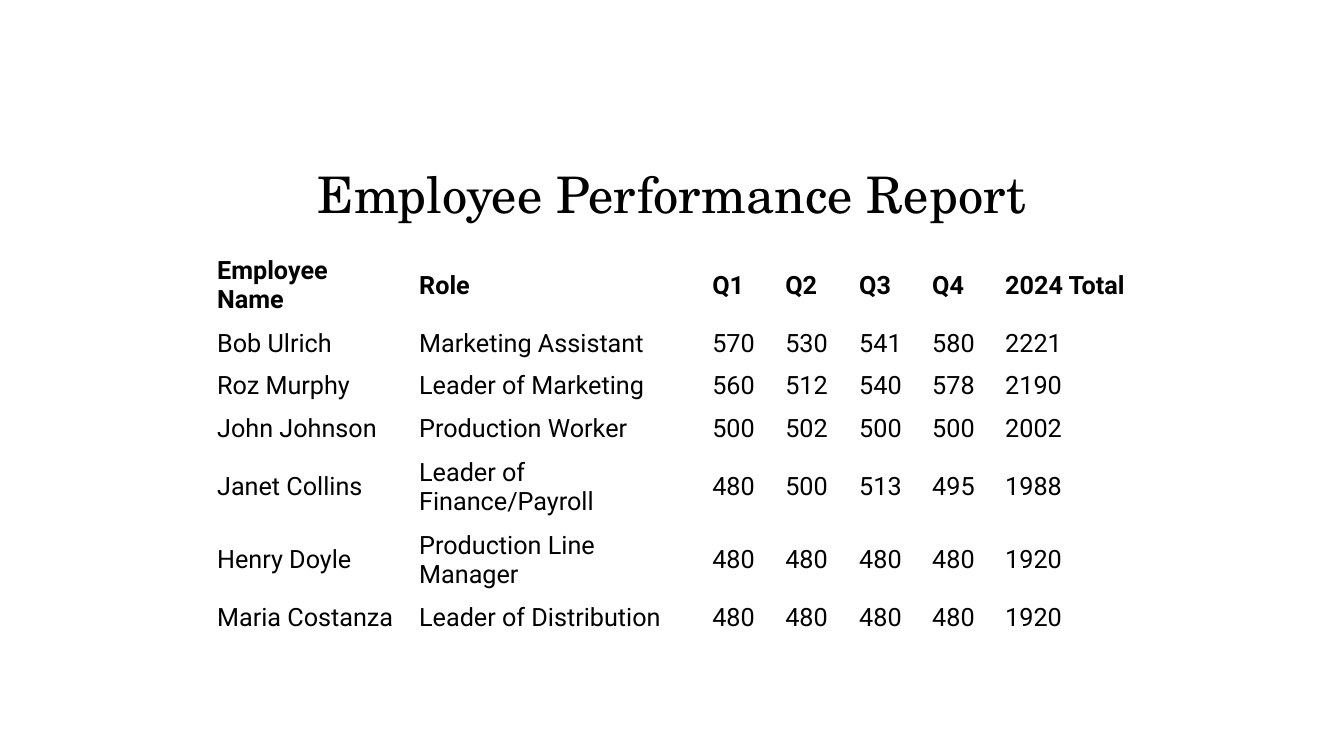
from pptx import Presentation
from pptx.dml.color import RGBColor
from pptx.enum.shapes import MSO_SHAPE as Shape
from pptx.enum.text import MSO_ANCHOR as Anchor, MSO_AUTO_SIZE as AutoSize, PP_ALIGN as Align
from pptx.oxml.ns import qn
from pptx.util import Inches, Pt
from lxml.etree import SubElement

PX = Inches(1) / 100.8
TITLE_ONLY = 5
INK, PAPER = "000000", "FFFFFF"
TITLE_FONT, TABLE_FONT = "TeX Gyre Schola", "Roboto"

COLUMN_WIDTHS = [202, 293, 73, 74, 73, 73, 142]
ONE_LINE, TWO_LINES = 43, 73
HEADINGS = ["Employee Name", "Role", "Q1", "Q2", "Q3", "Q4", "2024 Total"]
# Row height, name, role, quarters, total
EMPLOYEES = [
    (ONE_LINE, "Bob Ulrich", "Marketing Assistant", 570, 530, 541, 580, 2221),
    (ONE_LINE, "Roz Murphy", "Leader of Marketing", 560, 512, 540, 578, 2190),
    (ONE_LINE, "John Johnson", "Production Worker", 500, 502, 500, 500, 2002),
    (TWO_LINES, "Janet Collins", "Leader of Finance/Payroll", 480, 500, 513, 495, 1988),
    (TWO_LINES, "Henry Doyle", "Production Line Manager", 480, 480, 480, 480, 1920),
    (ONE_LINE, "Maria Costanza", "Leader of Distribution", 480, 480, 480, 480, 1920),
]


def px(length):
    return round(length * PX)


def color(code):
    return RGBColor.from_string(code)


def apply(target, values):
    for key, value in values.items():
        setattr(target, key, value)


class Report:
    def __init__(self, deck):
        self.slide = deck.slides.add_slide(deck.slide_layouts[TITLE_ONLY])

    def label(self, paragraph, text, font, size, bold=False):
        paragraph.text = text
        apply(paragraph.font, {"name": font, "size": Pt(size), "bold": bold})
        paragraph.font.color.rgb = color(INK)

    def panel(self, left, top, width, height, opacity):
        panel = self.slide.shapes.add_shape(
            Shape.RECTANGLE, px(left), px(top), px(width), px(height))
        panel.shadow.inherit = False
        panel.fill.solid()
        panel.fill.fore_color.rgb = color(PAPER)
        panel.line.fill.background()
        fill = panel._element.spPr.find(qn("a:solidFill"))
        SubElement(fill[0], qn("a:alpha")).set("val", str(opacity * 1000))
        # Send behind the title
        self.slide.shapes._spTree.insert(2, panel._element)

    def title(self, text, left, top, width, height):
        title = self.slide.shapes.title
        apply(title, {"left": px(left), "top": px(top),
                      "width": px(width), "height": px(height)})
        frame = title.text_frame
        apply(frame, {"word_wrap": True, "auto_size": AutoSize.NONE,
                      "vertical_anchor": Anchor.BOTTOM})
        heading = frame.paragraphs[0]
        self.label(heading, text, TITLE_FONT, 36)
        apply(heading, {"alignment": Align.CENTER, "line_spacing": 0.9})

    def table(self, rows, left, top, widths, heights):
        table = self.slide.shapes.add_table(
            len(rows), len(widths), px(left), px(top),
            px(sum(widths)), px(sum(heights))).table
        table.horz_banding = False
        for column, width in zip(table.columns, widths):
            column.width = px(width)
        for row, height in zip(table.rows, heights):
            row.height = px(height)
        for r, values in enumerate(rows):
            for c, value in enumerate(values):
                cell = table.cell(r, c)
                cell.fill.background()
                cell.vertical_anchor = Anchor.MIDDLE
                self.label(cell.text_frame.paragraphs[0], str(value),
                           TABLE_FONT, 18, bold=r == 0)


def main():
    deck = Presentation()
    apply(deck, {"slide_width": Inches(13.33), "slide_height": Inches(7.5)})
    report = Report(deck)

    # Backing panel and title
    report.panel(101, 86, 1142, 585, opacity=95)
    report.title("Employee Performance Report", 178, 110, 988, 119)

    # Performance table
    heights = [TWO_LINES] + [height for height, *_ in EMPLOYEES]
    rows = [HEADINGS] + [values for _, *values in EMPLOYEES]
    report.table(rows, 207, 249, COLUMN_WIDTHS, heights)

    deck.save("out.pptx")


if __name__ == "__main__":
    main()
